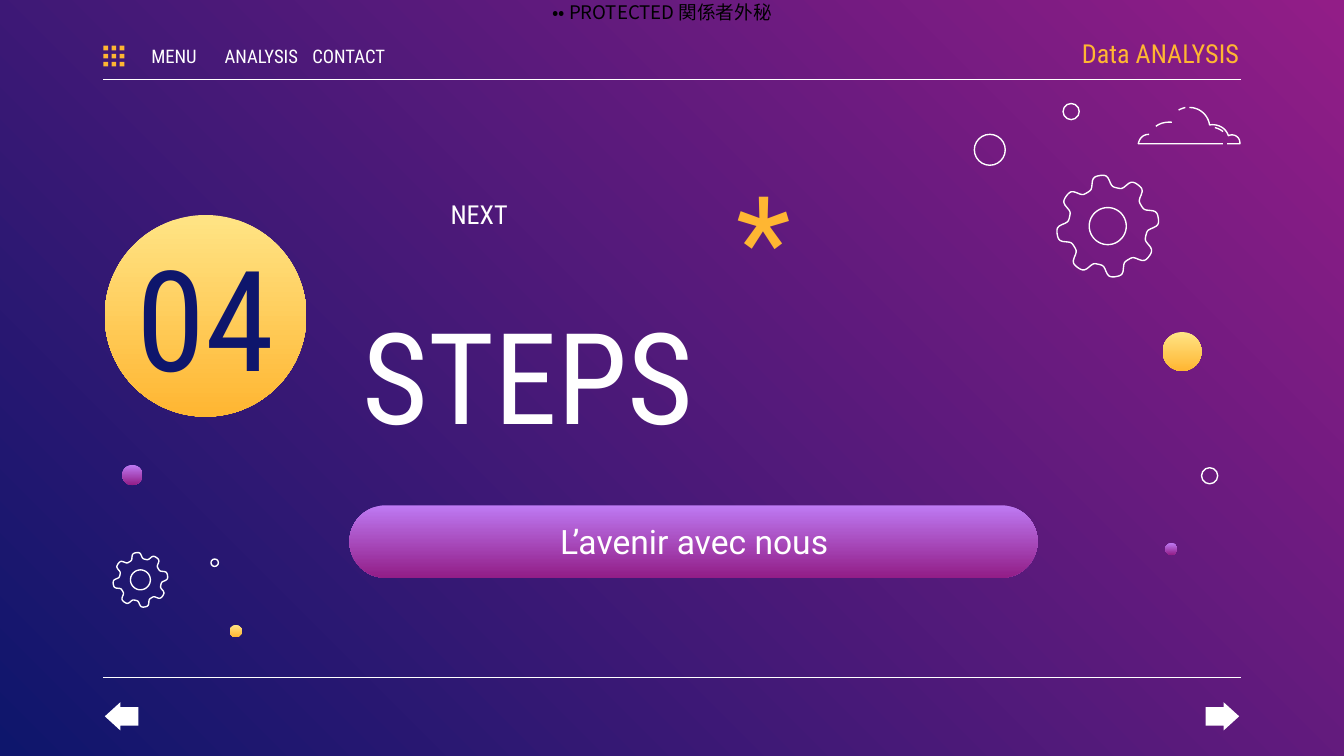
"""Build the section page that introduces the next steps."""
import dataclasses
import itertools
import math

import lxml.etree
import pptx
import pptx.dml.color
import pptx.enum.shapes
import pptx.enum.text
import pptx.oxml.ns
import pptx.util

COLUMNS, ROWS = 100, 56.25
SHAPES = pptx.enum.shapes.MSO_SHAPE
ALIGN = pptx.enum.text.PP_ALIGN
ANCHOR = pptx.enum.text.MSO_ANCHOR


@dataclasses.dataclass(frozen=True)
class Theme:
    """Colours, fonts and type sizes of the deck."""
    white: str = "FFFFFF"
    black: str = "000000"
    navy: str = "0E166C"
    amber: str = "FFB632"
    night: tuple = ("921D87", "0E166C")
    gold: tuple = ("FFE485", "FFB632")
    violet: tuple = ("BE7AF3", "921D87")
    condensed: str = "Roboto Condensed"
    body: str = "Roboto"
    notice: str = "Noto Sans CJK JP"
    small: float = 10
    label: float = 14
    subtitle: float = 18
    title: float = 68
    number: float = 75
    stroke: float = 0.75


THEME = Theme()


@dataclasses.dataclass(frozen=True)
class Box:
    """An area measured in grid columns and rows."""
    left: float
    top: float
    width: float
    height: float

    def inner(self, left, top, width, height):
        """Return an area offset from this one."""
        return Box(self.left + left, self.top + top, width, height)

    def emu(self):
        """Return the area as lengths for a shape."""
        return [cells(v) for v in (self.left, self.top, self.width, self.height)]


def cells(count):
    """Convert grid cells to a length."""
    return pptx.util.Inches(count / 10)


def rgb(value):
    """Return a colour from its hex value."""
    return pptx.dml.color.RGBColor.from_string(value)


def paint(fill, colour, angle=270):
    """Apply a plain colour, a two-stop gradient or nothing."""
    if colour is None:
        fill.background()
    elif isinstance(colour, str):
        fill.solid()
        fill.fore_color.rgb = rgb(colour)
    else:
        fill.gradient()
        fill.gradient_angle = angle
        for stop, value in zip(fill.gradient_stops, colour):
            stop.color.rgb = rgb(value)


def dress(shape, colour=None):
    """Fill a shape, or give it a thin white outline."""
    shape.shadow.inherit = False
    paint(shape.fill, colour)
    paint(shape.line.fill, None if colour else THEME.white)
    if colour is None:
        shape.line.width = pptx.util.Pt(THEME.stroke)


def add_preset(page, kind, box, colour=None):
    """Add a preset shape in the area."""
    shape = page.shapes.add_shape(kind, *box.emu())
    dress(shape, colour)
    return shape


def add_outline(page, contours, closed):
    """Draw contours of grid points as one outlined shape."""
    points = [[(cells(x), cells(y)) for x, y in contour] for contour in contours]
    builder = page.shapes.build_freeform(*points[0][0])
    for index, contour in enumerate(points):
        if index:
            builder.move_to(*contour[0])
        builder.add_line_segments(contour[1:], close=closed)
    dress(builder.convert_to_shape())


def add_rule(page, left, row, width):
    """Draw a horizontal white rule."""
    rule = page.shapes.add_connector(
        pptx.enum.shapes.MSO_CONNECTOR.STRAIGHT,
        cells(left), cells(row), cells(left + width), cells(row))
    rule.line.color.rgb = rgb(THEME.white)
    rule.line.width = pptx.util.Pt(THEME.stroke)
    lxml.etree.SubElement(rule._element.spPr, pptx.oxml.ns.qn("a:effectLst"))


def add_text(page, box, lines, size, font=THEME.condensed, align=ALIGN.CENTER,
             anchor=ANCHOR.MIDDLE, insets=(1, 1, 1, 1), spacing=None):
    """Add a text box holding one paragraph per (text, colour, indent)."""
    frame = page.shapes.add_textbox(*box.emu()).text_frame
    frame.word_wrap = True
    frame.vertical_anchor = anchor
    (frame.margin_left, frame.margin_top,
     frame.margin_right, frame.margin_bottom) = map(cells, insets)
    for index, (text, colour, indent) in enumerate(lines):
        para = frame.add_paragraph() if index else frame.paragraphs[0]
        para.alignment = align
        para.line_spacing = spacing
        if indent:
            para._p.get_or_add_pPr().set("marL", str(cells(indent)))
        span = para.add_run()
        span.text = text
        span.font.name = font
        span.font.size = pptx.util.Pt(size)
        span.font.color.rgb = rgb(colour)
        east = lxml.etree.SubElement(span.font._element, pptx.oxml.ns.qn("a:ea"))
        east.set("typeface", font)


def add_notice(page, box):
    """Place the confidentiality notice."""
    add_text(page, box, [("•• PROTECTED 関係者外秘", THEME.black, 0)], THEME.small,
             THEME.notice, anchor=ANCHOR.TOP, insets=(0, 0, 0, 0),
             spacing=pptx.util.Pt(12.3))


def add_header(page, box):
    """Place the menu, the report name and the rule below."""
    add_rule(page, box.left, box.top + box.height, box.width)
    add_text(page, box.inner(69.5, 0, 15, 3.3), [("Data ANALYSIS", THEME.amber, 0)],
             THEME.label, align=ALIGN.RIGHT, insets=(1, 1, 0, 1))
    for index, entry in enumerate(("MENU", "ANALYSIS", "CONTACT")):
        add_text(page, box.inner(2.4 + 6.5 * index, 0.7, 5.7, 2.3),
                 [(entry, THEME.white, 0)], THEME.small, insets=(0, 1, 0, 1))
    for column, row in itertools.product(range(3), repeat=2):
        add_preset(page, SHAPES.RECTANGLE,
                   box.inner(0.6 * column, 1.1 + 0.6 * row, 0.35, 0.35), THEME.amber)


def add_footer(page, box):
    """Place the rule and the two navigation arrows."""
    add_rule(page, box.left, box.top, box.width)
    for kind, left in ((SHAPES.RIGHT_ARROW, box.width - 2.6), (SHAPES.LEFT_ARROW, 0.1)):
        arrow = add_preset(page, kind, box.inner(left, 1.85, 2.5, 2.1), THEME.white)
        arrow.adjustments[0], arrow.adjustments[1] = 0.66, 0.55


def add_heading(page, box):
    """Place the numbered disc, the title and the subtitle pill."""
    pill = box.inner(18.2, 21.6, 51.2, 5.4)
    add_preset(page, SHAPES.ROUNDED_RECTANGLE, pill, THEME.violet).adjustments[0] = 0.5
    add_preset(page, SHAPES.OVAL, box.inner(0, 0, 15, 15), THEME.gold)
    add_text(page, box.inner(18.2, -2.1, 48.6, 19),
             [("*", THEME.amber, 27.8), ("STEPS", THEME.white, 0)],
             THEME.title, align=ALIGN.LEFT, spacing=0.9)
    add_text(page, pill.inner(0.6, 1, 50.1, 3.3),
             [("L’avenir avec nous", THEME.white, 0)], THEME.subtitle, THEME.body)
    add_text(page, box.inner(0, 3.3, 15, 8.3), [("04", THEME.navy, 0)], THEME.number)
    add_text(page, box.inner(19.1, -1.7, 17.5, 7.1), [("NEXT", THEME.white, 0)],
             THEME.label, anchor=ANCHOR.TOP, insets=(1, 0.5, 1, 0.5))


def add_gear(page, box):
    """Draw an eight-toothed gear with a round hub."""
    radius = box.width / 2
    steps = [math.tau * step / 192 for step in range(192)]

    def ring(size):
        """Trace a closed contour whose radius depends on the angle."""
        return [(box.left + radius + radius * size(turn) * math.sin(turn),
                 box.top + radius - radius * size(turn) * math.cos(turn))
                for turn in steps]

    def tooth(turn):
        """Return the share of the radius along the teeth."""
        return 0.88 + 0.12 * math.tanh(2 * math.cos(8 * (turn + math.radians(9))))

    add_outline(page, [ring(lambda turn: 0.36), ring(tooth)], True)


def curve(start, *bends):
    """Sample a chain of cubic curves into points."""
    points = [start]
    for first, second, end in bends:
        start = points[-1]
        for share in (step / 10 for step in range(1, 11)):
            rest = 1 - share
            weights = rest ** 3, 3 * rest ** 2 * share, 3 * rest * share ** 2, share ** 3
            points.append(tuple(sum(w * p for w, p in zip(weights, axis))
                                for axis in zip(start, first, second, end)))
    return points


def add_cloud(page, box):
    """Draw a cloud from open strokes."""
    strokes = (
        curve((3.8, 0), ((4.6, 0), (5.2, 0.6), (5.3, 1.3)),
              ((5.9, 1.2), (6.5, 1.5), (6.7, 2.1)),
              ((7.1, 1.9), (7.6, 2.2), (7.55, 2.7))) + [(6.6, 2.7)],
        curve((3.5, 0), ((3.5, 0), (3.1, 0.1), (3, 0.2))),
        [(6.3, 2.7)] + curve((0, 2.7), ((0, 2.7), (0.1, 2), (0.8, 2))),
        curve((5.7, 1.5), ((5.7, 1.5), (6.1, 1.6), (6.3, 1.8))),
        curve((2.5, 1.1), ((2.5, 1.1), (1.8, 1), (1.3, 1.4))))
    for stroke in strokes:
        add_outline(page, [[(box.left + x, box.top + y) for x, y in stroke]], False)


def add_decoration(page, box):
    """Scatter bubbles, gears and a cloud over the page."""
    bubbles = ((79.1, 7.7, 1.2, None), (86.5, 24.7, 2.9, THEME.gold),
               (9.1, 34.6, 1.5, THEME.violet), (17.1, 46.5, 0.9, THEME.gold),
               (89.4, 34.8, 1.2, None), (72.5, 10, 2.3, None),
               (15.7, 41.6, 0.55, None), (86.7, 40.4, 0.9, THEME.violet))
    for left, top, size, colour in bubbles:
        add_preset(page, SHAPES.OVAL, box.inner(left, top, size, size), colour)
    add_cloud(page, box.inner(84.7, 8, 7.6, 2.7))
    add_gear(page, box.inner(78.6, 13, 7.65, 7.65))
    add_gear(page, box.inner(8.4, 41.1, 4.1, 4.1))


def main():
    """Assemble and save the deck."""
    deck = pptx.Presentation()
    deck.slide_width, deck.slide_height = cells(COLUMNS), cells(ROWS)
    page = deck.slides.add_slide(deck.slide_layouts[6])
    paint(page.background.fill, THEME.night, 225)
    add_notice(page, Box(41, 0, 16.5, 1.7))
    add_footer(page, Box(7.7, 50.4, 84.6, 5))
    add_heading(page, Box(7.8, 16, 69.4, 27))
    add_decoration(page, Box(0, 0, COLUMNS, ROWS))
    add_header(page, Box(7.7, 2.3, 84.6, 3.6))
    deck.save("out.pptx")


if __name__ == "__main__":
    main()
